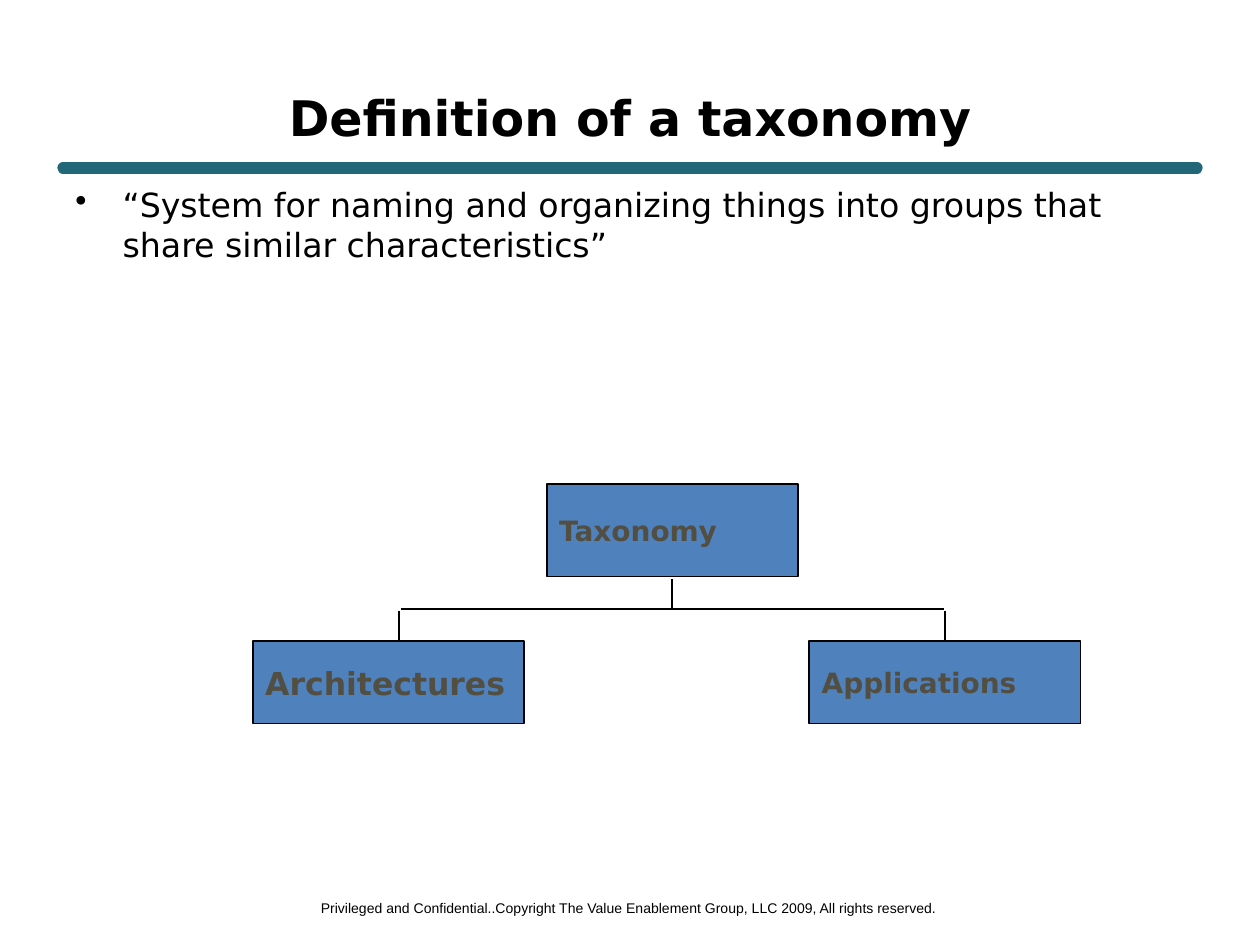
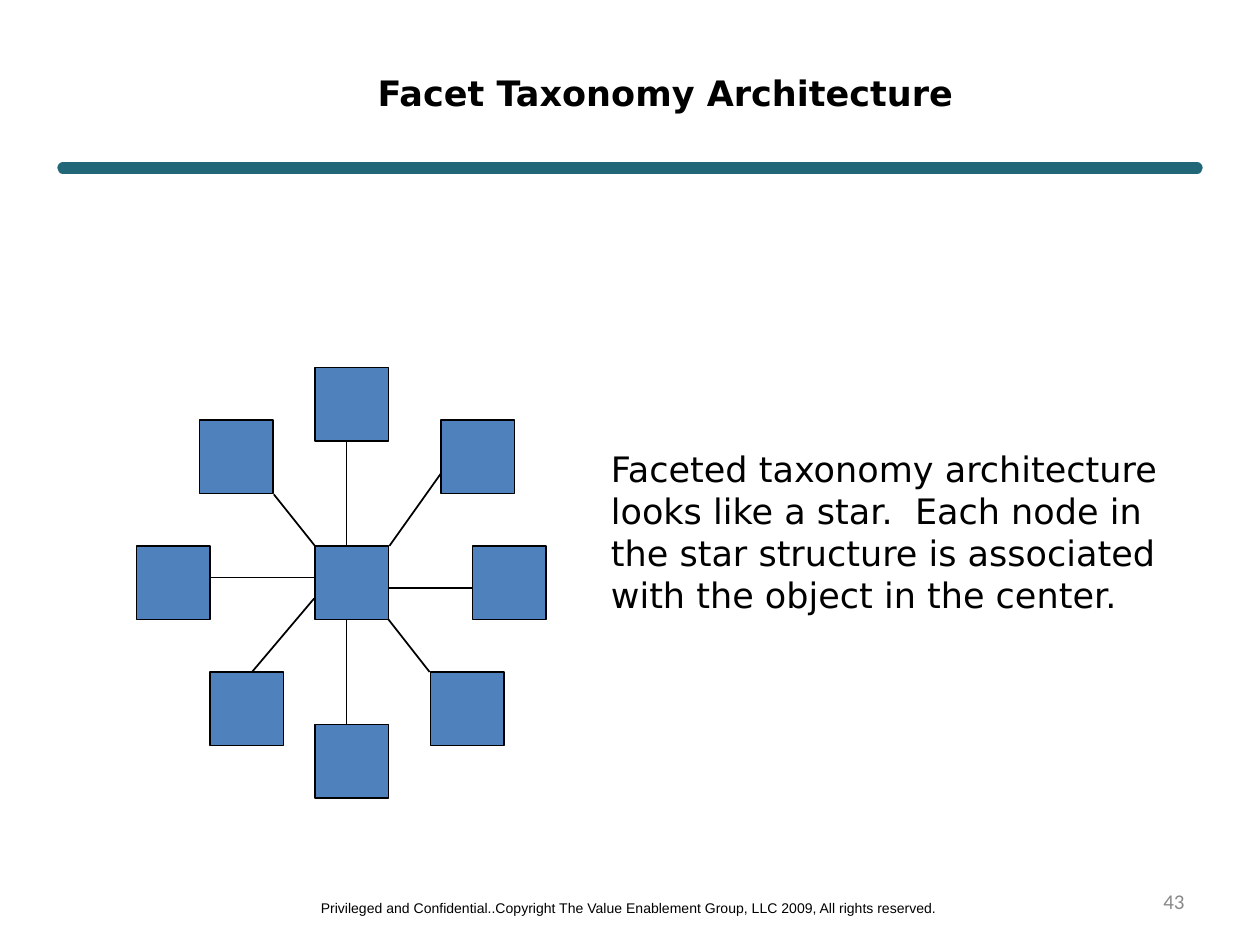
from pptx import Presentation
from pptx.dml.color import RGBColor
from pptx.enum.shapes import MSO_CONNECTOR, MSO_SHAPE
from pptx.enum.text import MSO_ANCHOR, PP_ALIGN
from pptx.oxml.ns import qn
from pptx.util import Pt
from lxml.etree import SubElement

COLORS = {
    "text": "000000",
    "rule": "216778",
    "box": "4F81BD",
    "box_text": "524E42",
    "number": "898989",
}
BODY_FONT = "DejaVu Sans"
FOOTER = ("Privileged and Confidential..Copyright The Value Enablement Group, "
          "LLC 2009, All rights reserved.")
LABELED_BOXES = [
    ("Taxonomy", 312.5, 276.5, 143.5, 53, 16),
    ("Architectures", 144.5, 366.5, 155, 47, 18),
    ("Applications", 462.5, 366.5, 155, 47, 16),
]
TREE_LINES = [
    (384, 331, 384, 348),
    (229, 348, 539.5, 348),
    (228, 349, 228, 366),
    (540, 349, 540, 366),
]
NODE_SIZE = 42
STAR_NODES = [
    (180, 312), (252, 240), (270, 312), (246, 384), (180, 414),
    (120, 384), (78, 312), (114, 240), (180, 210),
]
STAR_SPOKES = [
    (198, 252.5, 198, 312),
    (252, 270.5, 222.5, 312),
    (270, 336, 222.5, 336),
    (245.5, 384, 222, 354),
    (198, 413.5, 198, 354),
    (144, 384, 179.5, 342),
    (120.5, 330, 180, 330),
    (156.5, 282.5, 180, 312),
]


def rgb(name):
    """Return the named palette colour."""
    return RGBColor.from_string(COLORS[name])


def write(sp, text, size, color="text", bold=False, font=BODY_FONT,
          align=PP_ALIGN.LEFT, anchor=MSO_ANCHOR.TOP, wrap=True):
    """Put one formatted paragraph in a shape and return it."""
    tf = sp.text_frame
    tf.word_wrap = wrap
    tf.vertical_anchor = anchor
    tf.text = text
    p = tf.paragraphs[0]
    p.alignment = align
    r = p.runs[0]
    r.font.name = font
    r.font.size = Pt(size)
    r.font.bold = bold
    r.font.color.rgb = rgb(color)
    return p


def add_text(s, x, y, w, h, text, size, **style):
    """Add a text box and return its paragraph."""
    sp = s.shapes.add_textbox(Pt(x), Pt(y), Pt(w), Pt(h))
    return write(sp, text, size, **style)


def add_bullet(p, indent=27):
    """Give a paragraph a round bullet with a hanging indent."""
    pPr = p._p.get_or_add_pPr()
    pPr.set("marL", str(Pt(indent)))
    pPr.set("indent", str(-Pt(indent)))
    SubElement(pPr, qn("a:buChar")).set("char", "•")


def add_line(s, x1, y1, x2, y2, color="text", width=1):
    """Add a straight line without a shadow and return it."""
    c = s.shapes.add_connector(MSO_CONNECTOR.STRAIGHT,
                               Pt(x1), Pt(y1), Pt(x2), Pt(y2))
    c.line.color.rgb = rgb(color)
    c.line.width = Pt(width)
    SubElement(c._element.spPr, qn("a:effectLst"))
    return c


def add_box(s, x, y, w, h):
    """Add a blue outlined rectangle and return it."""
    sp = s.shapes.add_shape(MSO_SHAPE.RECTANGLE, Pt(x), Pt(y), Pt(w), Pt(h))
    sp.shadow.inherit = False
    sp.fill.solid()
    sp.fill.fore_color.rgb = rgb("box")
    sp.line.color.rgb = rgb("text")
    sp.line.width = Pt(1)
    return sp


def add_base_slide(prs, title, x, y, w, h, size):
    """Add a blank slide with the rule, footer and title."""
    s = prs.slides.add_slide(prs.slide_layouts[6])
    rule = add_line(s, 36, 96, 684, 96, "rule", 6.5)
    rule.line._get_or_add_ln().set("cap", "rnd")
    add_text(s, 175.5, 510.5, 368, 17, FOOTER, 8, font="Arial",
             align=PP_ALIGN.CENTER, wrap=False)
    add_text(s, x, y, w, h, title, size, bold=True,
             align=PP_ALIGN.CENTER, anchor=MSO_ANCHOR.BOTTOM)
    return s


def add_definition_slide(prs):
    """Build the definition with its small tree."""
    s = add_base_slide(prs, "Definition of a taxonomy", 36, 60, 648, 27, 28)
    p = add_text(s, 36, 102, 648, 380,
                 "“System for naming and organizing things into groups that "
                 "share similar characteristics”", 19)
    add_bullet(p)
    for label, x, y, w, h, size in LABELED_BOXES:
        write(add_box(s, x, y, w, h), label, size, "box_text", bold=True,
              anchor=MSO_ANCHOR.MIDDLE, wrap=False)
    for ends in TREE_LINES:
        add_line(s, *ends)


def add_facet_slide(prs):
    """Build the star of nodes with its explanation."""
    s = add_base_slide(prs, "Facet Taxonomy Architecture",
                       94.5, 41.5, 571.5, 27, 20)
    add_text(s, 516, 500.5, 168, 29, "43", 12, color="number",
             font="Calibri", align=PP_ALIGN.RIGHT, anchor=MSO_ANCHOR.MIDDLE)
    for x, y in STAR_NODES:
        add_box(s, x, y, NODE_SIZE, NODE_SIZE)
    for ends in STAR_SPOKES:
        add_line(s, *ends)
    add_text(s, 342, 252, 342, 103,
             "Faceted taxonomy architecture looks like a star.  Each node in "
             "the star structure is associated with the object in the center.",
             20)


def main():
    """Create and save the presentation."""
    prs = Presentation()
    prs.slide_width, prs.slide_height = Pt(720), Pt(540)
    add_definition_slide(prs)
    add_facet_slide(prs)
    prs.save("out.pptx")


if __name__ == "__main__":
    main()
